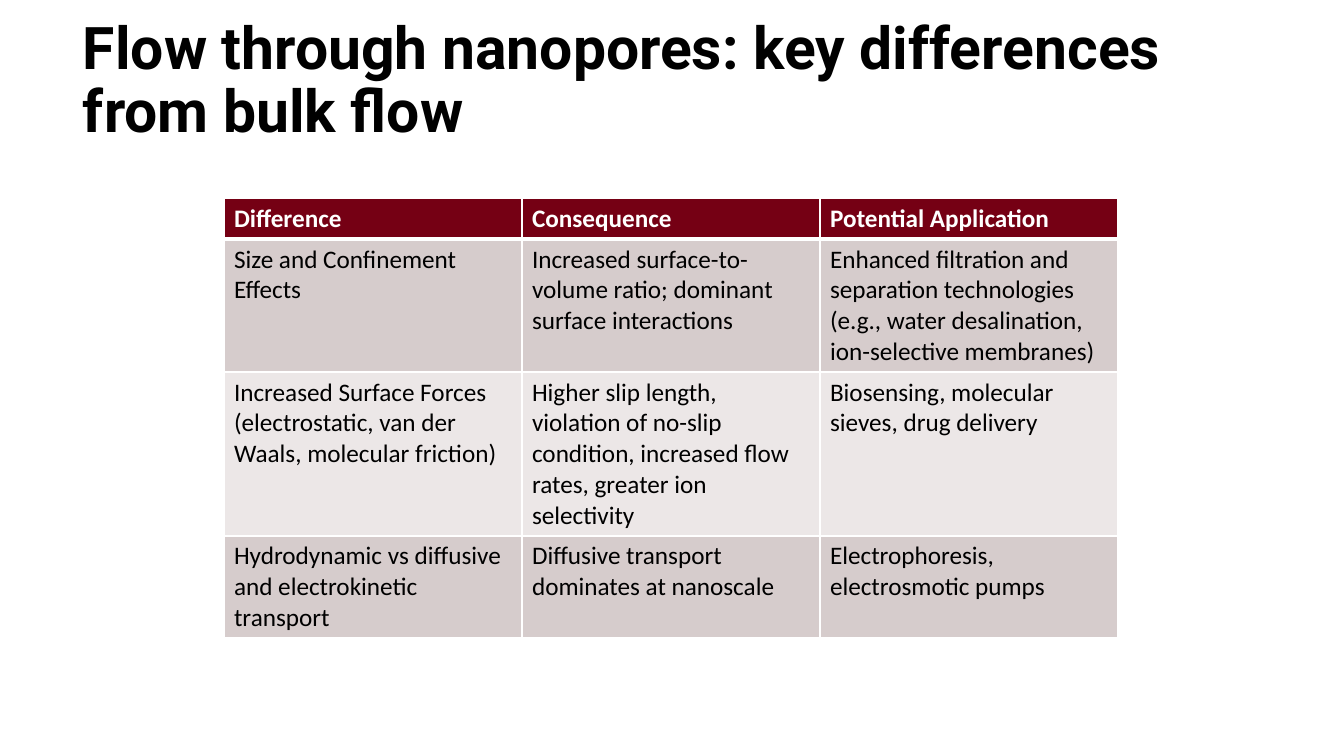
from lxml import etree
from pptx import Presentation
from pptx.dml.color import RGBColor
from pptx.enum.text import MSO_ANCHOR
from pptx.oxml.ns import qn
from pptx.util import Emu, Pt

MIDDLE = MSO_ANCHOR.MIDDLE
SCALE = 914400 / 100.8
BLACK = RGBColor(0x00, 0x00, 0x00)
WHITE = RGBColor(0xFF, 0xFF, 0xFF)
MAROON = RGBColor(0x75, 0x00, 0x14)
ROSE = RGBColor(0xD6, 0xCC, 0xCC)
PALE = RGBColor(0xEC, 0xE7, 0xE7)

TITLE = "Flow through nanopores: key differences from bulk flow"
ROWS = [
    (41, ("Difference", "Consequence", "Potential Application")),
    (133, (
        "Size and Confinement Effects",
        "Increased surface-to-volume ratio; dominant surface interactions",
        "Enhanced filtration and separation technologies "
        "(e.g., water desalination, ion-selective membranes)",
    )),
    (164, (
        "Increased Surface Forces (electrostatic, van der Waals, molecular friction)",
        "Higher slip length, violation of no-slip condition, "
        "increased flow rates, greater ion selectivity",
        "Biosensing, molecular sieves, drug delivery",
    )),
    (102, (
        "Hydrodynamic vs diffusive and electrokinetic transport",
        "Diffusive transport dominates at nanoscale",
        "Electrophoresis, electrosmotic pumps",
    )),
]


def px(size):
    return Emu(round(size * SCALE))


class Deck:
    head_font = "Roboto"
    body_font = "Calibri"
    head_size = 42
    body_size = 18

    def __init__(self, width, height):
        self.deck = Presentation()
        self.deck.slide_width = px(width)
        self.deck.slide_height = px(height)
        self.slide = self.deck.slides.add_slide(self.deck.slide_layouts[6])

    def run(self, para, text, font, size, color, bold):
        run = para.add_run()
        run.text = text
        run.font.name = font
        run.font.size = Pt(size)
        run.font.bold = bold
        run.font.color.rgb = color

    def title(self, text, *box):
        frame = self.slide.shapes.add_textbox(*map(px, box)).text_frame
        frame.word_wrap = True
        frame.vertical_anchor = MIDDLE
        frame.margin_left = frame.margin_right = 0
        para = frame.paragraphs[0]
        para.line_spacing = 0.9
        self.run(para, text, self.head_font, self.head_size, BLACK, True)

    def border(self, cell, widths):
        props = cell._tc.get_or_add_tcPr()
        for spot, (side, width) in enumerate(zip("LRTB", widths)):
            line = etree.Element(qn(f"a:ln{side}"), w=str(Pt(width)))
            fill = etree.SubElement(line, qn("a:solidFill"))
            etree.SubElement(fill, qn("a:srgbClr"), val=str(WHITE))
            props.insert(spot, line)

    def cell(self, cell, text, row):
        head = row == 0
        cell.fill.solid()
        cell.fill.fore_color.rgb = MAROON if head else ROSE if row % 2 else PALE
        color = WHITE if head else BLACK
        para = cell.text_frame.paragraphs[0]
        self.run(para, text, self.body_font, self.body_size, color, head)
        self.border(cell, (1, 1, 3 if row == 1 else 1, 3 if head else 1))

    def table(self, rows, left, top, wide):
        cols = len(rows[0][1])
        tall = sum(height for height, _ in rows)
        box = map(px, (left, top, wide * cols, tall))
        table = self.slide.shapes.add_table(len(rows), cols, *box).table
        for col in table.columns:
            col.width = px(wide)
        for row, (height, texts) in enumerate(rows):
            table.rows[row].height = px(height)
            for col, text in enumerate(texts):
                self.cell(table.cell(row, col), text, row)

    def save(self):
        self.deck.save("out.pptx")


def main():
    deck = Deck(1344, 756)
    deck.title(TITLE, 83, 9, 1159, 146)
    deck.table(ROWS, 224, 198, 298)
    deck.save()


if __name__ == "__main__":
    main()
